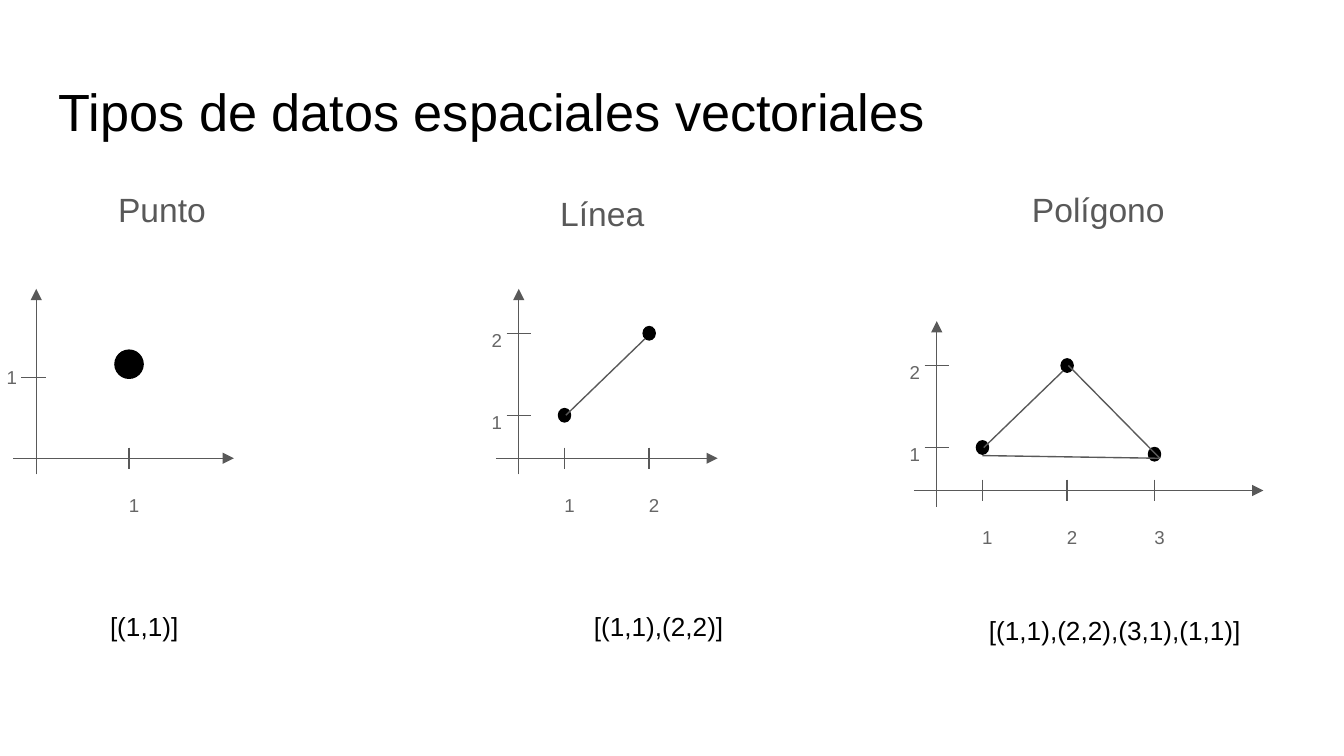
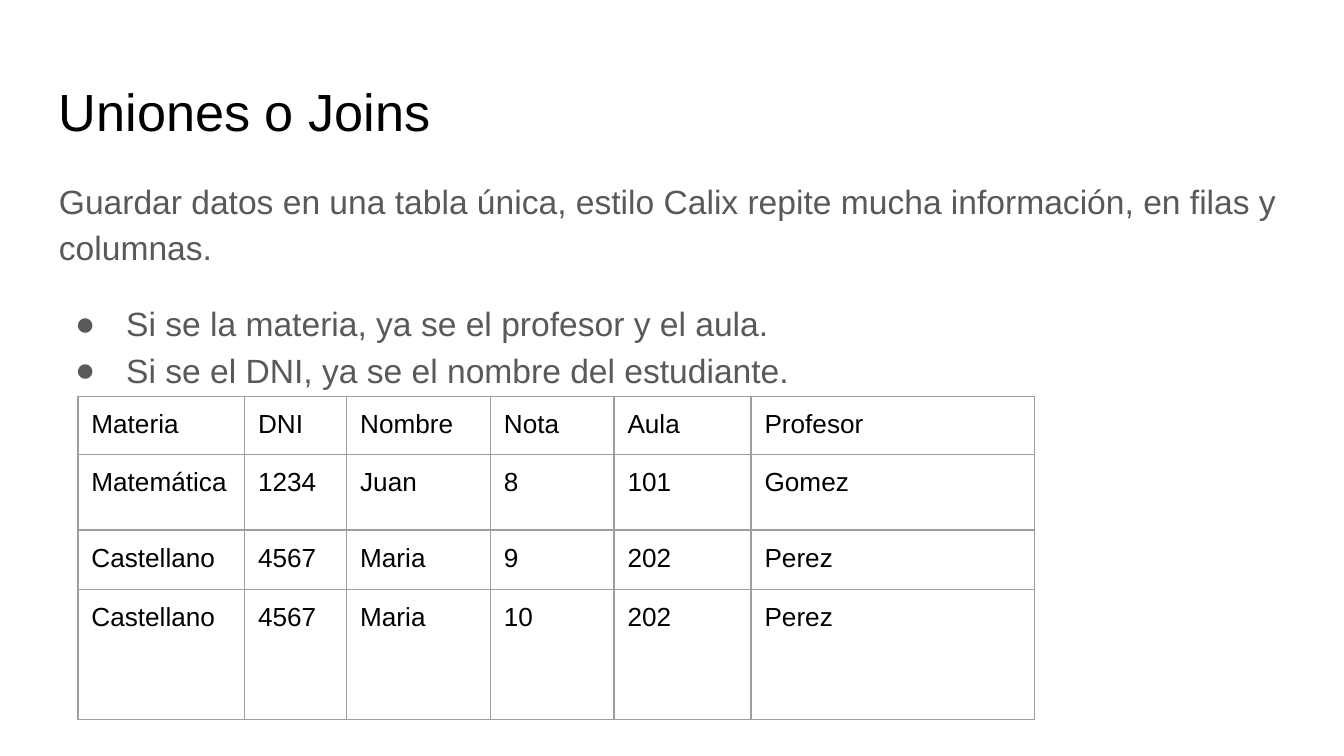
from dataclasses import dataclass

from lxml.etree import SubElement
from pptx import Presentation
from pptx.dml.color import RGBColor
from pptx.enum.shapes import MSO_CONNECTOR, MSO_SHAPE
from pptx.enum.text import MSO_ANCHOR
from pptx.oxml import parse_xml
from pptx.oxml.ns import nsdecls, qn
from pptx.slide import Slide
from pptx.text.text import TextFrame, _Paragraph
from pptx.util import Inches, Pt

Point = tuple[float, float]


@dataclass(frozen=True)
class TextStyle:
    size: float
    color: str
    line_spacing: float = 1.0


@dataclass(frozen=True)
class Theme:
    font: str = "Arial"
    ink: str = "000000"
    axis: str = "595959"
    border: str = "9E9E9E"
    line_width: float = 0.75
    inset: float = 0.1
    title: TextStyle = TextStyle(28, "000000")
    body: TextStyle = TextStyle(18, "595959", 1.15)
    plain: TextStyle = TextStyle(14, "000000")
    tick: TextStyle = TextStyle(10, "666666")


THEME = Theme()


@dataclass(frozen=True)
class Box:
    left: float
    top: float
    width: float
    height: float

    def lengths(self) -> tuple[Inches, ...]:
        return tuple(Inches(n) for n in (self.left, self.top, self.width, self.height))


@dataclass(frozen=True)
class Plot:
    """A small coordinate system; offsets run right and up from its origin."""
    heading: str
    heading_box: Box
    caption: str
    caption_box: Box
    origin: Point
    axis_length: float
    x_ticks: tuple[float, ...]
    y_ticks: tuple[float, ...]
    dots: tuple[Point, ...]
    edges: tuple[tuple[Point, Point], ...] = ()
    dot_size: Point = (0.09, 0.1)
    y_tick_center: float = 0.0
    y_label_shift: Point = (0.3, 0.12)

    def place(self, offset: Point) -> Point:
        return self.origin[0] + offset[0], self.origin[1] - offset[1]


X_TICKS = (0.34, 0.97, 1.62)
Y_TICKS = (0.32, 0.93)
RISING_EDGE = ((0.35, 0.32), (0.94, 0.89))

PLOTS = (
    Plot("Punto", Box(0.78, 1.26, 1.41, 0.47),
         "[(1,1)]", Box(0.72, 4.44, 1.41, 0.69),
         origin=(0.27, 3.41), axis_length=1.47,
         x_ticks=(0.69,), y_ticks=(0.6,), dots=((0.69, 0.7),),
         dot_size=(0.21, 0.21), y_tick_center=-0.02, y_label_shift=(0.32, 0.17)),
    Plot("Línea", Box(4.07, 1.29, 1.41, 0.47),
         "[(1,1),(2,2)]", Box(4.32, 4.44, 1.41, 0.69),
         origin=(3.86, 3.41), axis_length=1.48,
         x_ticks=X_TICKS[:2], y_ticks=Y_TICKS,
         dots=tuple(zip(X_TICKS, Y_TICKS)), edges=(RISING_EDGE,)),
    Plot("Polígono", Box(7.58, 1.26, 1.41, 0.47),
         "[(1,1),(2,2),(3,1),(1,1)]", Box(7.26, 4.47, 2.35, 0.69),
         origin=(6.97, 3.65), axis_length=2.43,
         x_ticks=X_TICKS, y_ticks=Y_TICKS,
         dots=(*zip(X_TICKS, Y_TICKS), (X_TICKS[2], 0.27)),
         edges=(RISING_EDGE, ((0.34, 0.26), (1.66, 0.24)), ((0.98, 0.93), (1.66, 0.24)))),
)

COLUMN_WIDTHS = (1.24, 0.76, 1.07, 0.92, 1.02, 2.11)
ROW_HEIGHTS = (0.43, 0.56, 0.44, 0.97)
GRADES = (
    ("Materia", "DNI", "Nombre", "Nota", "Aula", "Profesor"),
    ("Matemática", "1234", "Juan", "8", "101", "Gomez"),
    ("Castellano", "4567", "Maria", "9", "202", "Perez"),
    ("Castellano", "4567", "Maria", "10", "202", "Perez"),
)
INTRODUCTION = ("Guardar datos en una tabla única, estilo Calix repite mucha "
                "información, en filas y columnas.")
DEPENDENCIES = (
    "Si se la materia, ya se el profesor y el aula.",
    "Si se el DNI, ya se el nombre del estudiante.",
)


def style_paragraph(para: _Paragraph, style: TextStyle) -> None:
    para.line_spacing = style.line_spacing
    for span in para.runs:
        span.font.name = THEME.font
        span.font.size = Pt(style.size)
        span.font.color.rgb = RGBColor.from_string(style.color)


def add_text(slide: Slide, box: Box, text: str, style: TextStyle) -> TextFrame:
    frame = slide.shapes.add_textbox(*box.lengths()).text_frame
    frame.word_wrap = True
    frame.vertical_anchor = MSO_ANCHOR.TOP
    frame.margin_left = frame.margin_right = Inches(THEME.inset)
    frame.margin_top = frame.margin_bottom = Inches(THEME.inset)
    frame.text = text
    for para in frame.paragraphs:
        style_paragraph(para, style)
    return frame


def add_titled_slide(deck: Presentation, title: str) -> Slide:
    slide = deck.slides.add_slide(deck.slide_layouts[6])
    add_text(slide, Box(0.34, 0.49, 9.32, 0.63), title, THEME.title)
    return slide


def add_line(slide: Slide, start: Point, end: Point, arrow: bool = False) -> None:
    line = slide.shapes.add_connector(
        MSO_CONNECTOR.STRAIGHT, *(Inches(n) for n in (*start, *end)))
    line.line.color.rgb = RGBColor.from_string(THEME.axis)
    line.line.width = Pt(THEME.line_width)
    if arrow:
        SubElement(line.line._get_or_add_ln(), qn("a:tailEnd"), type="triangle")
    SubElement(line._element.spPr, qn("a:effectLst"))


def add_dot(slide: Slide, center: Point, size: Point) -> None:
    box = Box(center[0] - size[0] / 2, center[1] - size[1] / 2, *size)
    dot = slide.shapes.add_shape(MSO_SHAPE.OVAL, *box.lengths())
    dot.shadow.inherit = False
    dot.fill.solid()
    dot.fill.fore_color.rgb = RGBColor.from_string(THEME.ink)
    dot.line.color.rgb = RGBColor.from_string(THEME.ink)
    dot.line.width = Pt(THEME.line_width)


def add_tick_label(slide: Slide, left: float, top: float, number: int) -> None:
    add_text(slide, Box(left, top, 0.21, 0.25), str(number), THEME.tick)


def add_plot(slide: Slide, plot: Plot) -> None:
    add_text(slide, plot.heading_box, plot.heading, THEME.body)
    add_text(slide, plot.caption_box, plot.caption, THEME.plain)
    for dot in plot.dots:
        add_dot(slide, plot.place(dot), plot.dot_size)
    add_line(slide, plot.place((0, -0.12)), plot.place((0, 1.26)), arrow=True)
    add_line(slide, plot.place((-0.17, 0)), plot.place((plot.axis_length, 0)), arrow=True)
    for number, offset in enumerate(plot.x_ticks, start=1):
        add_line(slide, plot.place((offset, 0.08)), plot.place((offset, -0.08)))
        add_tick_label(slide, *plot.place((offset - 0.1, -0.18)), number)
    shift_left, shift_up = plot.y_label_shift
    for number, offset in enumerate(plot.y_ticks, start=1):
        add_line(slide, plot.place((plot.y_tick_center - 0.09, offset)),
                 plot.place((plot.y_tick_center + 0.09, offset)))
        add_tick_label(slide, *plot.place((-shift_left, offset + shift_up)), number)
    for start, end in plot.edges:
        add_line(slide, plot.place(start), plot.place(end))


def add_grades_table(slide: Slide) -> None:
    box = Box(0.58, 2.95, sum(COLUMN_WIDTHS), sum(ROW_HEIGHTS))
    table = slide.shapes.add_table(
        len(GRADES), len(COLUMN_WIDTHS), *box.lengths()).table
    table.first_row = table.horz_banding = False
    for column, width in zip(table.columns, COLUMN_WIDTHS):
        column.width = Inches(width)
    for row, height, values in zip(table.rows, ROW_HEIGHTS, GRADES):
        row.height = Inches(height)
        for cell, value in zip(row.cells, values):
            cell.text = value
            cell.fill.background()
            cell.margin_left = cell.margin_right = Inches(THEME.inset)
            cell.margin_top = cell.margin_bottom = Inches(THEME.inset)
            style_paragraph(cell.text_frame.paragraphs[0], THEME.plain)
            properties = cell._tc.get_or_add_tcPr()
            for index, side in enumerate("LRTB"):
                properties.insert(index, parse_xml(
                    f'<a:ln{side} {nsdecls("a")} w="{Pt(THEME.line_width)}"><a:solidFill>'
                    f'<a:srgbClr val="{THEME.border}"/></a:solidFill></a:ln{side}>'))


def add_bullet(para: _Paragraph) -> None:
    properties = para._p.get_or_add_pPr()
    properties.set("marL", str(Inches(0.5)))
    properties.set("indent", str(Inches(-0.38)))
    color = SubElement(properties, qn("a:buClr"))
    SubElement(color, qn("a:srgbClr"), val=THEME.body.color)
    SubElement(properties, qn("a:buFont"), typeface=THEME.font)
    SubElement(properties, qn("a:buChar"), char="●")


def build_vector_types(deck: Presentation) -> None:
    slide = add_titled_slide(deck, "Tipos de datos espaciales vectoriales")
    for plot in PLOTS:
        add_plot(slide, plot)


def build_joins(deck: Presentation) -> None:
    slide = add_titled_slide(deck, "Uniones o Joins")
    add_grades_table(slide)
    frame = add_text(slide, Box(0.34, 1.2, 9.49, 1.68),
                     "\n".join((INTRODUCTION, *DEPENDENCIES)), THEME.body)
    bullets = frame.paragraphs[1:]
    bullets[0].space_before = Pt(16)
    for para in bullets:
        add_bullet(para)


def main() -> None:
    deck = Presentation()
    deck.slide_width = Inches(10)
    deck.slide_height = deck.slide_width * 9 // 16
    build_vector_types(deck)
    build_joins(deck)
    deck.save("out.pptx")


if __name__ == "__main__":
    main()
